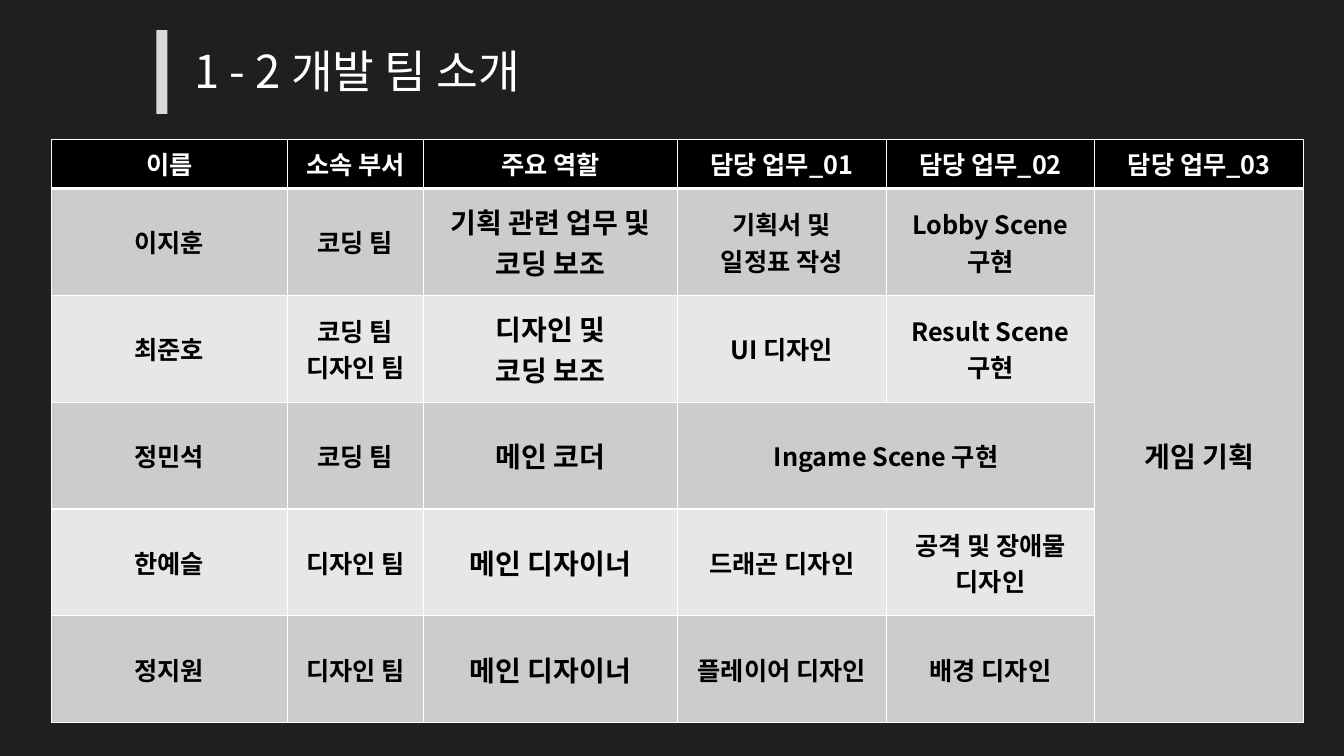
"""Builds the development team slide with its table of roles and tasks."""
from lxml import etree
from pptx import Presentation
from pptx.dml.color import RGBColor
from pptx.enum.shapes import MSO_SHAPE
from pptx.enum.text import MSO_ANCHOR, MSO_AUTO_SIZE, PP_ALIGN
from pptx.oxml.ns import qn
from pptx.util import Inches, Pt

RECTANGLE = MSO_SHAPE.RECTANGLE
MIDDLE = MSO_ANCHOR.MIDDLE
NO_FIT = MSO_AUTO_SIZE.NONE
LEFT, CENTER = PP_ALIGN.LEFT, PP_ALIGN.CENTER

FONT = "Noto Sans CJK KR"
COLORS = {
    "background": "1F1F1F",
    "accent": "D9D9D9",
    "white": "FFFFFF",
    "black": "000000",
    "odd_row": "CCCCCC",
    "even_row": "E7E7E7",
}

HEADERS = ["이름", "소속 부서", "주요 역할", "담당 업무_01", "담당 업무_02", "담당 업무_03"]
MEMBERS = [
    ["이지훈", "코딩 팀", "기획 관련 업무 및\n코딩 보조", "기획서 및\n일정표 작성",
     "Lobby Scene\n구현", "게임 기획"],
    ["최준호", "코딩 팀\n디자인 팀", "디자인 및\n코딩 보조", "UI 디자인", "Result Scene\n구현", ""],
    ["정민석", "코딩 팀", "메인 코더", "Ingame Scene 구현", "", ""],
    ["한예슬", "디자인 팀", "메인 디자이너", "드래곤 디자인", "공격 및 장애물\n디자인", ""],
    ["정지원", "디자인 팀", "메인 디자이너", "플레이어 디자인", "배경 디자인", ""],
]
COLUMN_WIDTHS = [2.34, 1.35, 2.52, 2.07, 2.07, 2.07]
ROW_HEIGHTS = [0.49] + [1.06] * len(MEMBERS)
LARGE_COLUMNS = (2, 5)
MERGES = [((1, 5), (5, 5)), ((3, 3), (3, 4))]


def write_text(frame, text, size, color, bold=False, align=CENTER, spacing=1.0):
    """Write each line of the text as a formatted paragraph."""
    frame.word_wrap = True
    for index, line in enumerate(text.split("\n")):
        para = frame.add_paragraph() if index else frame.paragraphs[0]
        para.alignment = align
        para.line_spacing = spacing
        span = para.add_run()
        span.text = line
        span.font.size = Pt(size)
        span.font.bold = bold
        span.font.name = FONT
        span.font.color.rgb = RGBColor.from_string(COLORS[color])
        east_asian = etree.Element(qn("a:ea"), typeface=FONT)
        span.font._element.find(qn("a:latin")).addnext(east_asian)


class TeamSlide:
    """Hold the current slide and draw its elements in one style."""

    def __init__(self, deck):
        """Add a title-only slide with a dark background."""
        self.slide = deck.slides.add_slide(deck.slide_layouts[5])
        self.paint(self.slide.background.fill, "background")

    def paint(self, fill, color):
        """Apply a solid named colour."""
        fill.solid()
        fill.fore_color.rgb = RGBColor.from_string(COLORS[color])

    def title(self, text, left, top, width, height):
        """Place and format the title placeholder."""
        box = self.slide.shapes.title
        box.left, box.top = Inches(left), Inches(top)
        box.width, box.height = Inches(width), Inches(height)
        box.text_frame.auto_size = NO_FIT
        box.text_frame.vertical_anchor = MIDDLE
        write_text(box.text_frame, text, 32.4, "white", align=LEFT, spacing=0.9)

    def bar(self, left, top, width, height):
        """Draw the plain accent bar."""
        shape = self.slide.shapes.add_shape(
            RECTANGLE, Inches(left), Inches(top), Inches(width), Inches(height))
        shape.shadow.inherit = False
        self.paint(shape.fill, "accent")
        shape.line.fill.background()

    def borders(self, cell, **widths):
        """Set white cell borders, with widths in points by side."""
        properties = cell._tc.get_or_add_tcPr()
        for index, side in enumerate("LRTB"):
            width = Pt(widths.get(side, 1))
            line = etree.Element(qn(f"a:ln{side}"), w=str(width))
            fill = etree.SubElement(line, qn("a:solidFill"))
            etree.SubElement(fill, qn("a:srgbClr"), val=COLORS["white"])
            properties.insert(index, line)

    def table(self, rows, left, top):
        """Draw the team table with banded rows and merged cells."""
        frame = self.slide.shapes.add_table(
            len(rows), len(COLUMN_WIDTHS), Inches(left), Inches(top),
            Inches(sum(COLUMN_WIDTHS)), Inches(sum(ROW_HEIGHTS)))
        table = frame.table
        for column, width in zip(table.columns, COLUMN_WIDTHS):
            column.width = Inches(width)
        for row, height in zip(table.rows, ROW_HEIGHTS):
            row.height = Inches(height)
        for start, end in MERGES:
            table.cell(*start).merge(table.cell(*end))
        for row_index, texts in enumerate(rows):
            header = row_index == 0
            band = "odd_row" if row_index % 2 else "even_row"
            for column_index, text in enumerate(texts):
                cell = table.cell(row_index, column_index)
                cell.vertical_anchor = MIDDLE
                self.paint(cell.fill, "black" if header else band)
                self.borders(cell, B=3 if header else 1, T=3 if row_index == 1 else 1)
                if text:
                    large = not header and column_index in LARGE_COLUMNS
                    write_text(cell.text_frame, text, 20 if large else 18,
                               "white" if header else "black", bold=True)


def main():
    """Build and save the deck."""
    deck = Presentation()
    deck.slide_width, deck.slide_height = Inches(13.33), Inches(7.5)
    page = TeamSlide(deck)
    page.title("1 - 2 개발 팀 소개", 1.83, 0.43, 8.33, 0.61)
    page.bar(1.55, 0.3, 0.11, 0.83)
    page.table([HEADERS] + MEMBERS, 0.51, 1.38)
    deck.save("out.pptx")


if __name__ == "__main__":
    main()
